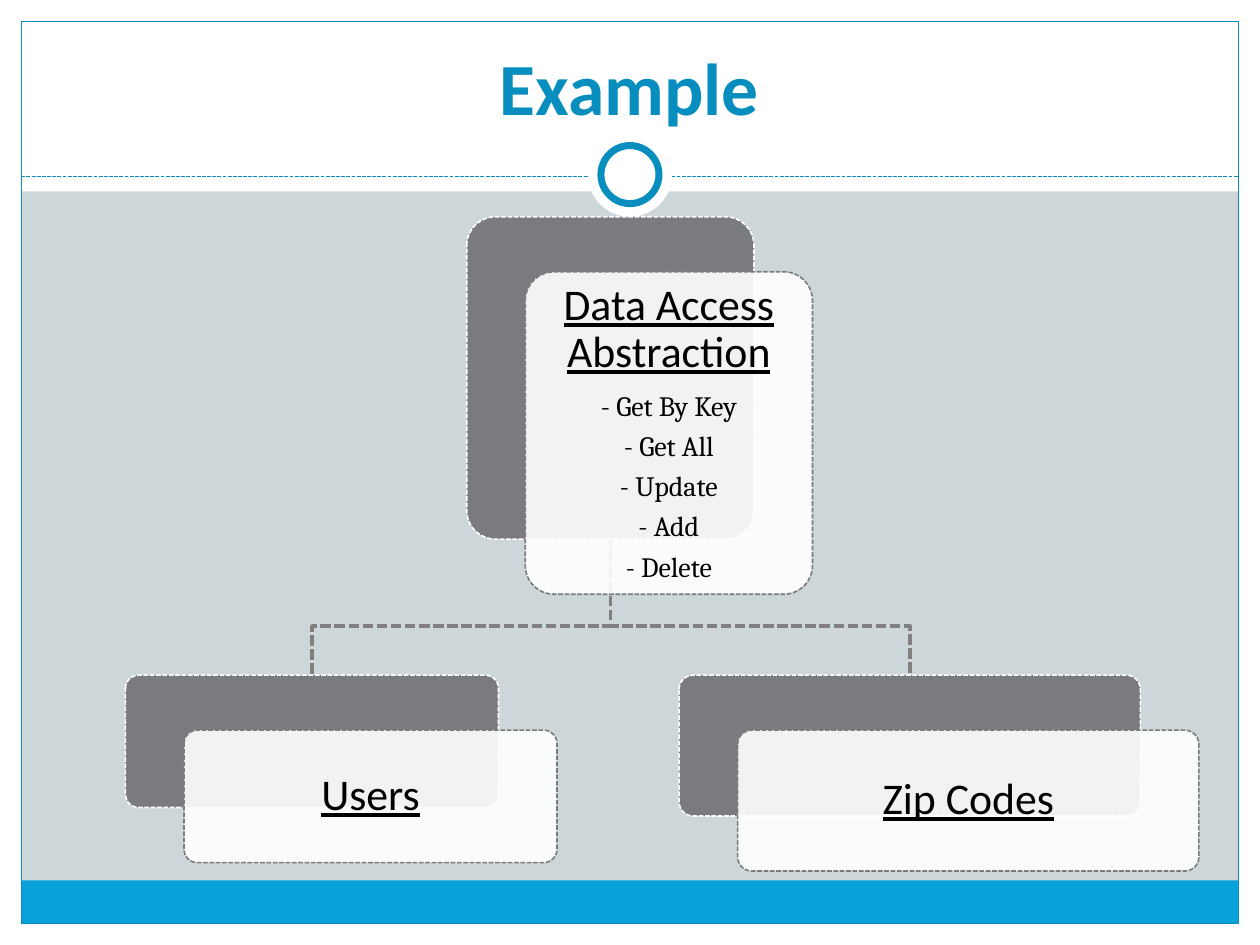
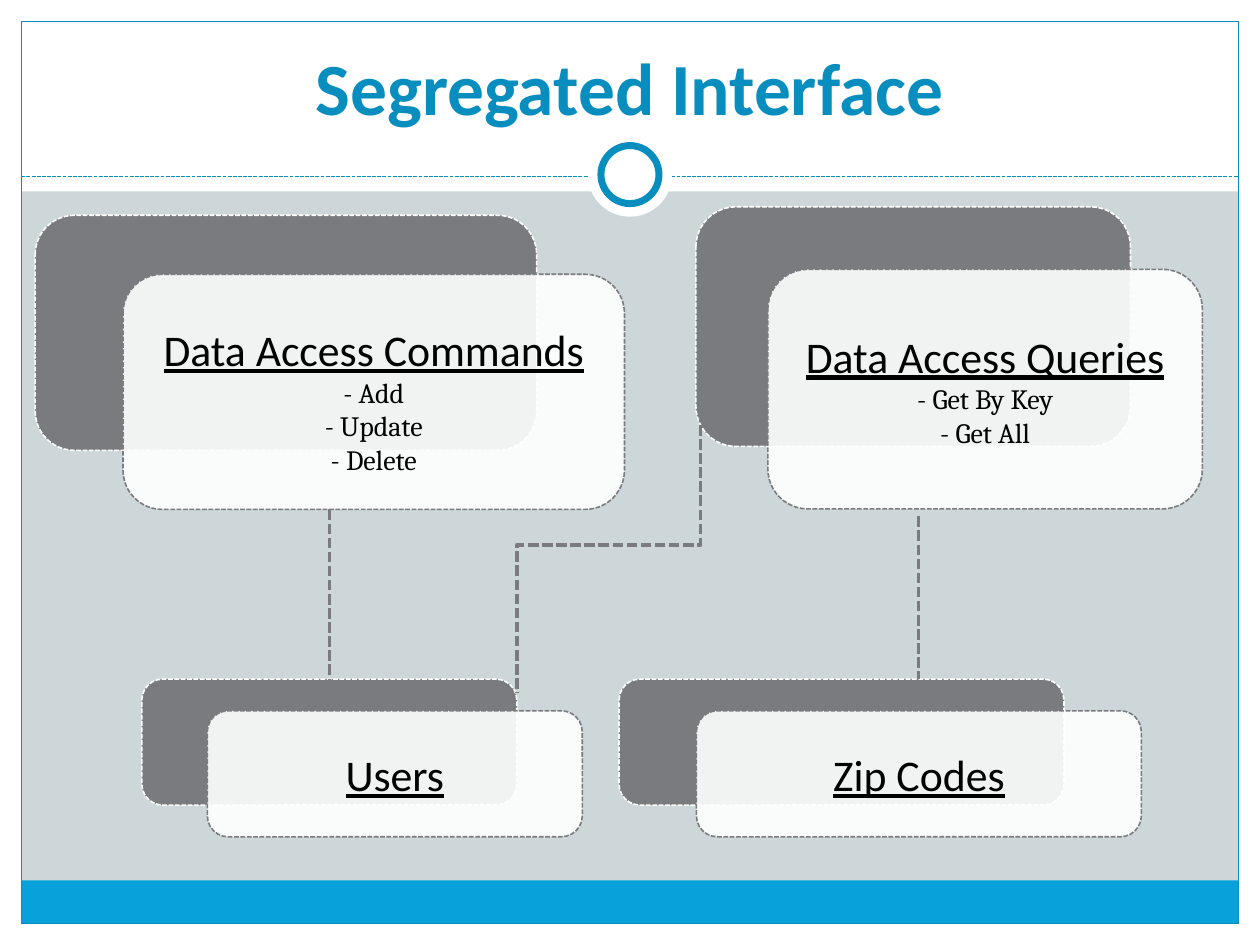
from dataclasses import dataclass

from lxml import etree
from pptx import Presentation
from pptx import util as u
from pptx.dml.color import RGBColor
from pptx.enum import dml, shapes, text
from pptx.oxml import ns

# Shared look, lengths in centimetres
WIDTH, HEIGHT, MARGIN = 25.4, 19.05, 0.43
INNER_WIDTH = WIDTH - 2 * MARGIN
HEADER_HEIGHT, DIVIDER_Y = 3.86, 3.56
FOOTER_TOP = 17.75
RING_Y = 3.52
WHITE, BLACK, BACKDROP = "FFFFFF", "000000", "CDD7D9"
ACCENT, FOOTER, CARD, BRANCH = "078EBF", "08A1D9", "797B7E", "808080"
HEADING_FONT, BODY_FONT = "Calibri", "Cambria"
RECT = shapes.MSO_SHAPE.RECTANGLE
OVAL = shapes.MSO_SHAPE.OVAL
ROUNDED = shapes.MSO_SHAPE.ROUNDED_RECTANGLE
ALTERNATE = shapes.MSO_SHAPE.FLOWCHART_ALTERNATE_PROCESS


@dataclass(frozen=True)
class Card:
    """A grey back plate with a translucent text plate shifted over it."""
    heading: str
    left: float
    top: float
    width: float
    height: float
    shift: tuple[float, float]
    items: tuple[str, ...] = ()
    extra_top: float = 0

    @property
    def center(self) -> float:
        return self.left + self.width / 2

    @property
    def bottom(self) -> float:
        return self.top + self.height


@dataclass(frozen=True)
class CardStyle:
    outline: shapes.MSO_SHAPE
    corner: float | None
    inset: tuple[float, float]
    line_spacing: float
    space_after: float


def color(value: str) -> RGBColor:
    return RGBColor.from_string(value)


def style_line(line, hue: str, width: float, dashed: bool = False) -> None:
    line.color.rgb = color(hue)
    line.width = u.Pt(width)
    if dashed:
        line.dash_style = dml.MSO_LINE.SQUARE_DOT


def add_plate(parent, kind, left: float, top: float, width: float, height: float,
              fill: str | None = None, line: str | None = None,
              line_width: float = 0.75, dashed: bool = False, opacity: int = 100):
    plate = parent.add_shape(kind, u.Cm(left), u.Cm(top), u.Cm(width), u.Cm(height))
    plate.shadow.inherit = False
    if fill:
        plate.fill.solid()
        plate.fill.fore_color.rgb = color(fill)
    else:
        plate.fill.background()
    if opacity < 100:
        hue = plate.fill._xPr.find(".//" + ns.qn("a:srgbClr"))
        etree.SubElement(hue, ns.qn("a:alpha"), val=str(opacity * 1000))
    if line:
        style_line(plate.line, line, line_width, dashed)
    else:
        plate.line.fill.background()
    return plate


def add_paragraph(frame, words: str, *, size: float, font: str, hue: str = BLACK,
                  bold: bool = False, underline: bool = False,
                  line_spacing: float = 1.0, space_after: float = 0) -> None:
    paragraph = frame.paragraphs[0]
    if paragraph.runs:
        paragraph = frame.add_paragraph()
    paragraph.alignment = text.PP_ALIGN.CENTER
    paragraph.line_spacing = line_spacing
    paragraph.space_after = u.Pt(size * space_after)
    run = paragraph.add_run()
    run.text = words
    run.font.size = u.Pt(size)
    run.font.name = font
    run.font.color.rgb = color(hue)
    run.font.bold = bold
    run.font.underline = underline


def add_line(parent, start: tuple[float, float], end: tuple[float, float],
             hue: str, width: float, kind=shapes.MSO_CONNECTOR.STRAIGHT):
    line = parent.add_connector(kind, *(u.Cm(v) for v in start + end))
    etree.SubElement(line._element.spPr, ns.qn("a:effectLst"))
    style_line(line.line, hue, width, dashed=True)
    return line


def add_vertical_elbow(parent, start: tuple[float, float], end: tuple[float, float],
                       hue: str, width: float) -> None:
    """Elbow leaving downwards to the lower left: a level elbow turned by 90°."""
    mid_x, mid_y = (start[0] + end[0]) / 2, (start[1] + end[1]) / 2
    half_run, half_rise = (end[1] - start[1]) / 2, (start[0] - end[0]) / 2
    elbow = add_line(parent, (mid_x - half_run, mid_y - half_rise),
                     (mid_x + half_run, mid_y + half_rise),
                     hue, width, shapes.MSO_CONNECTOR.ELBOW)
    elbow._element.spPr.find(ns.qn("a:xfrm")).set("rot", str(90 * 60000))


def add_branch(parent, upper: Card, lower: Card, bend_y: float) -> None:
    points = [(upper.center, upper.bottom), (upper.center, bend_y),
              (lower.center, bend_y), (lower.center, lower.top)]
    start, *rest = [(u.Cm(x), u.Cm(y)) for x, y in points]
    builder = parent.build_freeform(*start)
    builder.add_line_segments(rest, close=False)
    branch = builder.convert_to_shape()
    branch.shadow.inherit = False
    branch.fill.background()
    style_line(branch.line, BRANCH, 2, dashed=True)


def add_card(parent, card: Card, style: CardStyle) -> None:
    dx, dy = card.shift
    size = (card.width, card.height)
    back = add_plate(parent, style.outline, card.left, card.top, *size,
                     fill=CARD, line=WHITE, line_width=0.9, dashed=True)
    front = add_plate(parent, style.outline, card.left + dx, card.top + dy, *size,
                      fill=WHITE, line=CARD, line_width=0.9, dashed=True, opacity=90)
    if style.corner is not None:
        for plate in (back, front):
            plate.adjustments[0] = style.corner
    frame = front.text_frame
    frame.word_wrap = True
    frame.vertical_anchor = text.MSO_ANCHOR.MIDDLE
    side, edge = style.inset
    frame.margin_left = frame.margin_right = u.Cm(side)
    frame.margin_top, frame.margin_bottom = u.Cm(edge + card.extra_top), u.Cm(edge)
    spacing = dict(line_spacing=style.line_spacing, space_after=style.space_after)
    add_paragraph(frame, card.heading, size=25, font=HEADING_FONT,
                  underline=True, **spacing)
    for item in card.items:
        add_paragraph(frame, f"- {item}", size=16, font=BODY_FONT, **spacing)


def add_base_slide(deck, title: str):
    slide = deck.slides.add_slide(deck.slide_layouts[6])
    slide.background.fill.solid()
    slide.background.fill.fore_color.rgb = color(BACKDROP)
    parent = slide.shapes

    # White border and header, blue footer, thin frame
    for area in ((0, HEIGHT - MARGIN, WIDTH, MARGIN), (0, 0, WIDTH, HEADER_HEIGHT),
                 (0, 0, MARGIN, HEIGHT), (WIDTH - MARGIN, 0, MARGIN, HEIGHT)):
        add_plate(parent, RECT, *area, fill=WHITE)
    add_plate(parent, RECT, MARGIN, FOOTER_TOP, INNER_WIDTH,
              HEIGHT - MARGIN - FOOTER_TOP, fill=FOOTER)
    add_plate(parent, RECT, MARGIN, MARGIN, INNER_WIDTH, HEIGHT - 2 * MARGIN, line=ACCENT)

    # Divider with ring
    add_line(parent, (MARGIN, DIVIDER_Y), (WIDTH - MARGIN, DIVIDER_Y), ACCENT, 0.75)
    for diameter, outline in ((1.7, None), (1.17, ACCENT)):
        add_plate(parent, OVAL, (WIDTH - diameter) / 2, RING_Y - diameter / 2,
                  diameter, diameter, fill=WHITE, line=outline, line_width=4)

    # Title
    title_box = parent.add_textbox(u.Cm(0.84), u.Cm(0.64), u.Cm(23.7), u.Cm(2.11))
    frame = title_box.text_frame
    frame.word_wrap = True
    frame.vertical_anchor = text.MSO_ANCHOR.BOTTOM
    add_paragraph(frame, title, size=42, font=HEADING_FONT, hue=ACCENT, bold=True)
    return slide


def add_example(deck) -> None:
    style = CardStyle(ROUNDED, 0.1, (0.25, 0.25), 0.9, 0.35)
    shift = (1.18, 1.11)
    abstraction = Card("Data Access Abstraction", 9.41, 4.37, 5.79, 6.5, shift,
                       ("Get By Key", "Get All", "Update", "Add", "Delete"))
    users = Card("Users", 2.53, 13.61, 7.52, 2.67, shift)
    zip_codes = Card("Zip Codes", 13.69, 13.61, 9.3, 2.84, shift)

    hierarchy = add_base_slide(deck, "Example").shapes.add_group_shape().shapes
    for child in (zip_codes, users):
        add_branch(hierarchy, abstraction, child, bend_y=12.62)
    for card in (abstraction, users, zip_codes):
        add_card(hierarchy, card, style)


def add_segregated_interface(deck) -> None:
    style = CardStyle(ALTERNATE, None, (0.25, 0.13), 1.0, 0)
    queries = Card("Data Access Queries", 14.03, 4.17, 8.76, 4.83, (1.45, 1.26),
                   ("Get By Key", "Get All"))
    commands = Card("Data Access Commands", 0.71, 4.34, 10.11, 4.74, (1.77, 1.19),
                    ("Add", "Update", "Delete"), extra_top=0.3)
    users = Card("Users", 2.86, 13.69, 7.56, 2.54, (1.32, 0.64))
    zip_codes = Card("Zip Codes", 12.48, 13.69, 8.97, 2.54, (1.56, 0.64))

    slide = add_base_slide(deck, "Segregated Interface")
    for card in (queries, commands, users, zip_codes):
        add_card(slide.shapes.add_group_shape().shapes, card, style)

    # Links from the interfaces to the data they serve
    add_line(slide.shapes, (users.center, commands.bottom + commands.shift[1]),
             (users.center, users.top), CARD, 2)
    add_vertical_elbow(slide.shapes, (14.12, 8), (users.left + users.width, 13.97), CARD, 2)
    add_line(slide.shapes, (18.52, 10.41), (18.52, zip_codes.top), CARD, 2)


def main() -> None:
    deck = Presentation()
    deck.slide_width, deck.slide_height = u.Cm(WIDTH), u.Cm(HEIGHT)
    add_example(deck)
    add_segregated_interface(deck)
    deck.save("out.pptx")


main()
